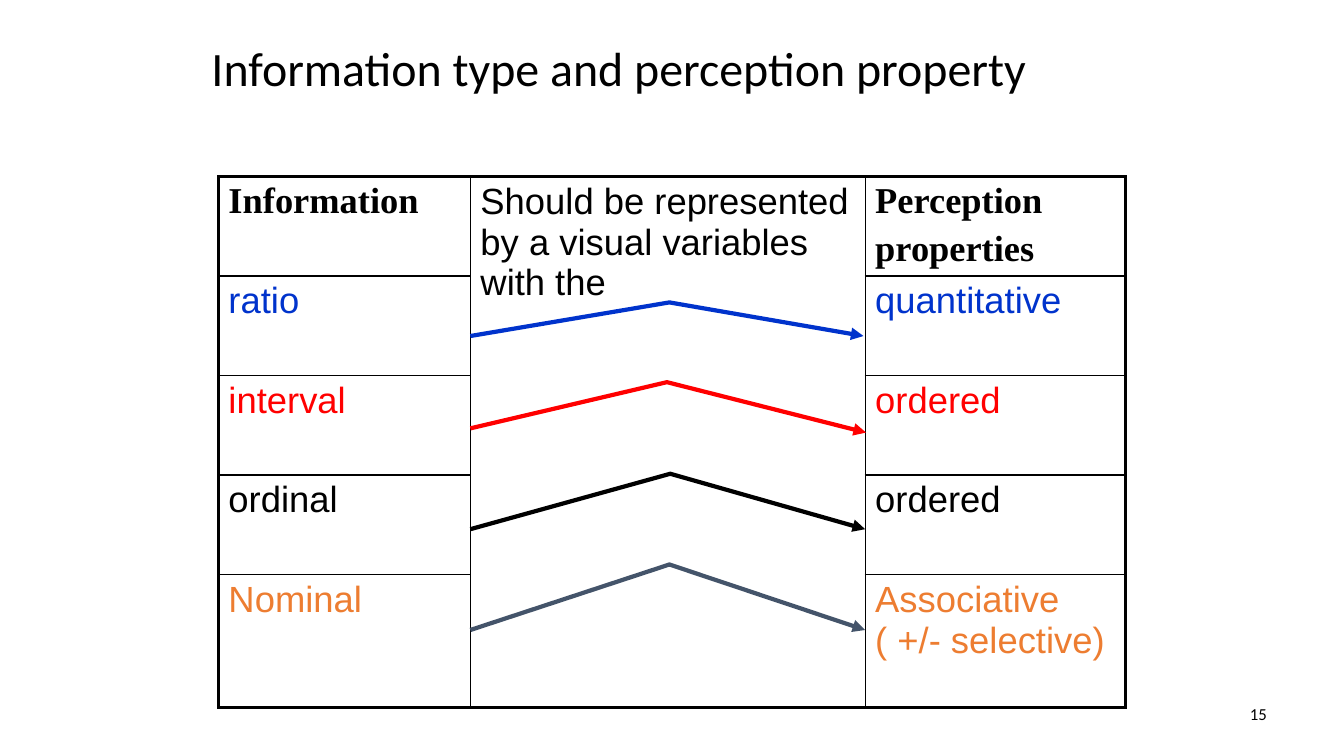
import dataclasses
import typing

import lxml.etree
import pptx
import pptx.dml.color
import pptx.enum.text
import pptx.oxml.ns
import pptx.util

BLACK = pptx.dml.color.RGBColor(0x00, 0x00, 0x00)
BLUE = pptx.dml.color.RGBColor(0x00, 0x33, 0xCC)
RED = pptx.dml.color.RGBColor(0xFF, 0x00, 0x00)
ORANGE = pptx.dml.color.RGBColor(0xED, 0x7D, 0x31)
SLATE = pptx.dml.color.RGBColor(0x44, 0x54, 0x6A)

SLIDE_WIDTH = pptx.util.Inches(13.33)
SLIDE_HEIGHT = pptx.util.Inches(7.5)
GRID_COLUMNS = 160
GRID_ROWS = 90

TABLE_LEFT = 26
TABLE_TOP = 21
COLUMN_WIDTHS = (30, 47, 31)
ROW_HEIGHTS = (11.85, 11.85, 11.85, 11.85, 15.85)
THIN = 1
THICK = 2.25

HEADING = {"name": "Times New Roman", "size": pptx.util.Pt(26), "bold": True}
BODY = {"name": "Arial", "size": pptx.util.Pt(26), "bold": False}
TITLE = {"name": "Calibri", "size": pptx.util.Pt(34.2)}
PAGE_NUMBER = {"name": "Calibri", "size": pptx.util.Pt(12)}

Point = tuple[float, float]


@dataclasses.dataclass(frozen=True)
class Pairing:
    information: str
    perception: str
    text_color: pptx.dml.color.RGBColor
    arrow_color: pptx.dml.color.RGBColor
    arrow: tuple[Point, Point, Point]


@dataclasses.dataclass(frozen=True)
class Label:
    text: str
    left: float
    top: float
    width: float
    height: float
    font: dict[str, typing.Any]
    alignment: pptx.enum.text.PP_ALIGN


PAIRINGS = (
    Pairing("ratio", "quantitative", BLUE, BLUE, ((56, 40), (79.7, 36), (102.8, 40))),
    Pairing("interval", "ordered", RED, RED, ((56, 51), (79.4, 45.5), (103.1, 51.5))),
    Pairing("ordinal", "ordered", BLACK, BLACK, ((56, 63), (79.8, 56.4), (103, 63))),
    Pairing("Nominal", "Associative\v( +/- selective)", ORANGE, SLATE,
            ((56, 75), (79.7, 67.2), (103, 75))),
)

LABELS = (
    Label("Information type and perception property", 24, 3, 108, 10, TITLE,
          pptx.enum.text.PP_ALIGN.LEFT),
    Label("15", 114.7, 82, 37.3, 6, PAGE_NUMBER, pptx.enum.text.PP_ALIGN.RIGHT),
)


def across(columns: float) -> int:
    return round(SLIDE_WIDTH * columns / GRID_COLUMNS)


def down(rows: float) -> int:
    return round(SLIDE_HEIGHT * rows / GRID_ROWS)


def write(frame, text: str, font: dict[str, typing.Any], color, **layout) -> None:
    frame.text = text
    for para in frame.paragraphs:
        for name, value in layout.items():
            setattr(para, name, value)
        for span in para.runs:
            for name, value in font.items():
                setattr(span.font, name, value)
            span.font.color.rgb = color


def add_label(page, label: Label) -> None:
    box = page.shapes.add_textbox(across(label.left), down(label.top),
                                  across(label.width), down(label.height))
    box.text_frame.word_wrap = True
    box.text_frame.vertical_anchor = pptx.enum.text.MSO_ANCHOR.MIDDLE
    write(box.text_frame, label.text, label.font, BLACK, alignment=label.alignment)


def set_borders(cell, widths: dict[str, float]) -> None:
    properties = cell._tc.get_or_add_tcPr()
    for position, (side, width) in enumerate(widths.items()):
        border = lxml.etree.Element(pptx.oxml.ns.qn(f"a:ln{side}"),
                                    w=str(pptx.util.Pt(width)))
        fill = lxml.etree.SubElement(border, pptx.oxml.ns.qn("a:solidFill"))
        lxml.etree.SubElement(fill, pptx.oxml.ns.qn("a:srgbClr"), val=str(BLACK))
        properties.insert(position, border)


def add_pairing_table(page) -> None:
    row_count, column_count = len(ROW_HEIGHTS), len(COLUMN_WIDTHS)
    table = page.shapes.add_table(
        row_count, column_count, across(TABLE_LEFT), down(TABLE_TOP),
        across(sum(COLUMN_WIDTHS)), down(sum(ROW_HEIGHTS))).table
    table.first_row = table.horz_banding = False
    for column, width in zip(table.columns, COLUMN_WIDTHS):
        column.width = across(width)
    for row, height in zip(table.rows, ROW_HEIGHTS):
        row.height = down(height)
    table.cell(0, 1).merge(table.cell(row_count - 1, 1))

    for row in range(row_count):
        for column in range(column_count):
            cell = table.cell(row, column)
            cell.fill.background()
            at_bottom = row == row_count - 1 or cell.is_merge_origin
            widths = {
                "L": THICK if column == 0 else THIN,
                "R": THICK if column == column_count - 1 else THIN,
                "T": THICK if row == 0 else THIN,
                "B": THICK if at_bottom else THIN,
            }
            if cell.is_spanned:
                del widths["T"]
                if not at_bottom:
                    del widths["B"]
            set_borders(cell, widths)

    gap = pptx.util.Pt(5)
    headings = (("Information", HEADING),
                ("Should be represented by a visual variables with the", BODY),
                ("Perception\nproperties", HEADING))
    for column, (text, font) in enumerate(headings):
        write(table.cell(0, column).text_frame, text, font, BLACK, space_before=gap)
    for row, pairing in enumerate(PAIRINGS, start=1):
        for column, text in ((0, pairing.information), (2, pairing.perception)):
            write(table.cell(row, column).text_frame, text, BODY,
                  pairing.text_color, space_before=gap)


def add_bent_arrow(page, pairing: Pairing) -> None:
    start, *rest = [(across(x), down(y)) for x, y in pairing.arrow]
    builder = page.shapes.build_freeform(*start)
    builder.add_line_segments(rest, close=False)
    arrow = builder.convert_to_shape()
    arrow.shadow.inherit = False
    arrow.fill.background()
    arrow.line.color.rgb = pairing.arrow_color
    arrow.line.width = pptx.util.Pt(3)
    lxml.etree.SubElement(arrow.line._get_or_add_ln(),
                          pptx.oxml.ns.qn("a:tailEnd"), type="triangle")


def main() -> None:
    deck = pptx.Presentation()
    deck.slide_width = SLIDE_WIDTH
    deck.slide_height = SLIDE_HEIGHT
    page = deck.slides.add_slide(deck.slide_layouts[6])
    add_pairing_table(page)
    for label in LABELS:
        add_label(page, label)
    for pairing in PAIRINGS:
        add_bent_arrow(page, pairing)
    deck.save("out.pptx")


if __name__ == "__main__":
    main()
